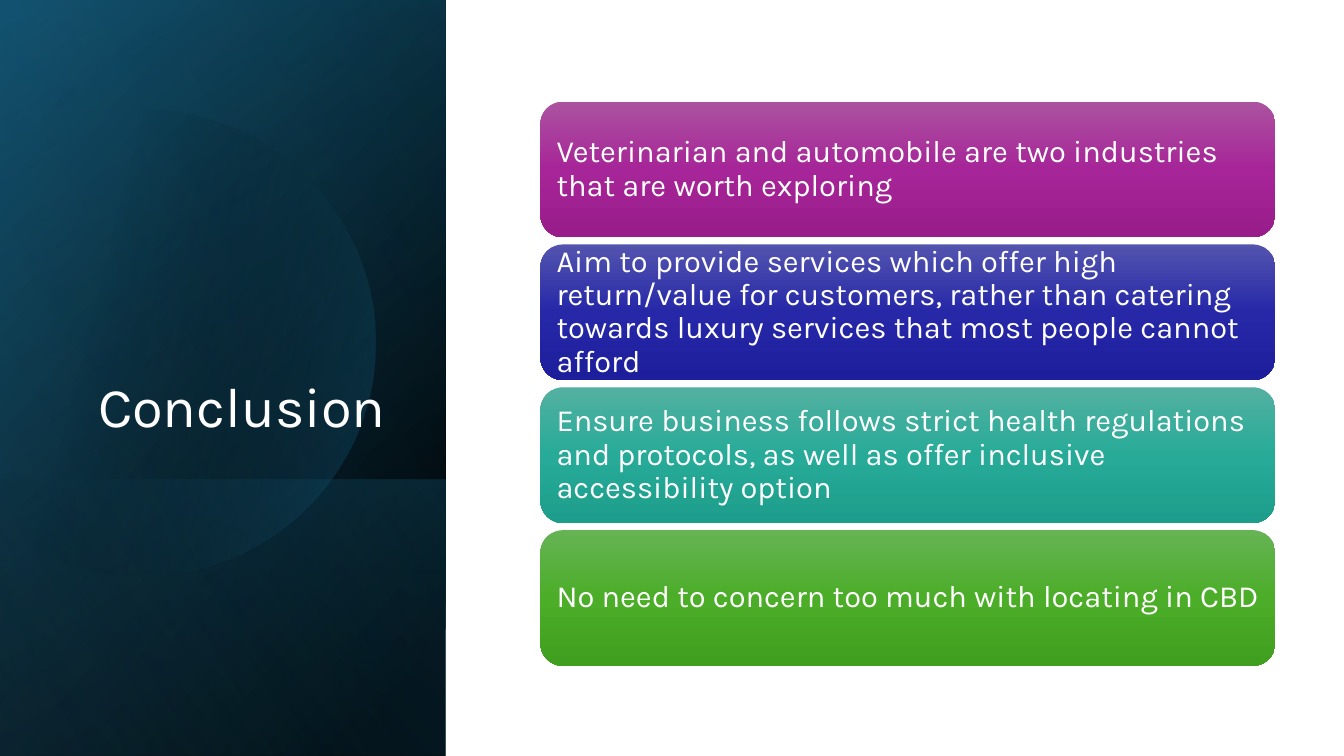
from dataclasses import dataclass
from math import acos, cos, degrees, radians, sin

from lxml.etree import SubElement
from pptx import Presentation
from pptx.dml.color import RGBColor
from pptx.enum.shapes import MSO_SHAPE as SHAPE
from pptx.enum.text import MSO_ANCHOR as ANCHOR, PP_ALIGN as ALIGN
from pptx.oxml.ns import qn
from pptx.util import Cm, Pt


@dataclass(frozen=True)
class Theme:
    """Colours and type sizes of the slide."""
    font: str = "Karla"
    title: int = 40
    body: int = 22
    white: str = "FFFFFF"
    black: str = "000000"
    teal: str = "156082"
    deep: str = "104862"
    sky: str = "46B1E1"
    cards: tuple = (
        ("AC53A0", "A62598", "991C8B"),
        ("5354AE", "2628A8", "1D1E9B"),
        ("53B0A1", "27AB98", "1D9D8B"),
        ("66B354", "4BAD28", "409F1E"),
    )


def write(s, text, *, font, size, color, align=ALIGN.LEFT, anchor=ANCHOR.MIDDLE, inset=0.24):
    """Put one formatted paragraph into a shape."""
    tf = s.text_frame
    tf.word_wrap = True
    tf.vertical_anchor = anchor
    tf.margin_left = tf.margin_right = tf.margin_top = tf.margin_bottom = Cm(inset)
    p = tf.paragraphs[0]
    p.alignment = align
    p.line_spacing = 0.9
    r = p.add_run()
    r.text = text
    r.font.name = font
    r.font.size = Pt(size)
    r.font.color.rgb = RGBColor.from_string(color)


class Deck:
    """Holds the theme and the current slide."""

    def __init__(self, slide, theme):
        """Keep the slide and its theme."""
        self.shapes = slide.shapes
        self.theme = theme

    def paint(self, s, stops, angle):
        """Fill a shape with (position, colour, opacity) stops and drop its line."""
        s.shadow.inherit = False
        s.line.fill.background()
        s.fill.gradient()
        grad = s.element.spPr.find(qn("a:gradFill"))
        gs_list = grad.find(qn("a:gsLst"))
        for gs in list(gs_list):
            gs_list.remove(gs)
        for pos, color, opacity in stops:
            gs = SubElement(gs_list, qn("a:gs"), pos=str(pos * 1000))
            clr = SubElement(gs, qn("a:srgbClr"), val=color)
            if opacity < 100:
                SubElement(clr, qn("a:alpha"), val=str(opacity * 1000))
        grad.find(qn("a:lin")).set("ang", str(angle * 60000))

    def panel(self, x, y, w, h, stops, angle):
        """Add a mirrored quarter-turned rectangle that covers the given area."""
        s = self.shapes.add_shape(SHAPE.RECTANGLE, Cm(x + (w - h) / 2), Cm(y + (h - w) / 2), Cm(h), Cm(w))
        s.rotation = 90
        s.element.spPr.xfrm.set("flipH", "1")
        self.paint(s, stops, angle)

    def disc(self, cx, cy, radius, stops, angle):
        """Add a circle cut off at the left edge of the slide."""
        end = degrees(acos(-cx / radius))
        steps = 120
        turns = [radians(end * (2 * i / steps - 1)) for i in range(steps + 1)]
        pts = [(Cm(max(0, cx + radius * cos(t))), Cm(cy + radius * sin(t))) for t in turns]
        fb = self.shapes.build_freeform(*pts[0])
        fb.add_line_segments(pts[1:], close=True)
        self.paint(fb.convert_to_shape(), stops, angle)

    def title(self, text, x, y, w, h):
        """Add the slide title, set right and at the bottom of its box."""
        s = self.shapes.add_textbox(Cm(x), Cm(y), Cm(w), Cm(h))
        t = self.theme
        write(s, text, font=t.font, size=t.title, color=t.white,
              align=ALIGN.RIGHT, anchor=ANCHOR.BOTTOM)

    def card(self, text, x, y, w, h, colors):
        """Add a rounded card with its text."""
        s = self.shapes.add_shape(SHAPE.ROUNDED_RECTANGLE, Cm(x), Cm(y), Cm(w), Cm(h))
        t = self.theme
        self.paint(s, [(50 * i, c, 100) for i, c in enumerate(colors)], 90)
        write(s, text, font=t.font, size=t.body, color=t.white)


POINTS = (
    "Veterinarian and automobile are two industries that are worth exploring",
    "Aim to provide services which offer high return/value for customers, "
    "rather than catering towards luxury services that most people cannot afford",
    "Ensure business follows strict health regulations and protocols, "
    "as well as offer inclusive accessibility option",
    "No need to concern too much with locating in CBD",
)


def main():
    """Build and save the slide."""
    prs = Presentation()
    prs.slide_width, prs.slide_height = Cm(33.87), Cm(19.05)
    t = Theme()
    deck = Deck(prs.slides.add_slide(prs.slide_layouts[6]), t)

    side_w, side_h, foot_h = 11.23, 19.05, 6.96
    side = (0, 0, side_w, side_h)
    deck.panel(*side, [(8, t.black, 100), (100, t.deep, 100)], 50)
    deck.panel(*side, [(0, t.black, 0), (99, t.teal, 46)], 30)
    deck.panel(0, side_h - foot_h, side_w, foot_h, [(2, t.teal, 29), (100, t.black, 30)], 130)
    deck.disc(3.6, 8.64, 5.87, [(29, t.black, 0), (100, t.teal, 43)], 14)
    deck.panel(*side, [(0, t.black, 0), (99, t.sky, 11)], 120)
    deck.title("Conclusion ", 1.63, 4.67, 8.66, 6.65)

    top, pitch = 2.56, 3.6
    for i, (text, colors) in enumerate(zip(POINTS, t.cards)):
        deck.card(text, 13.62, top + i * pitch, 18.52, 3.42, colors)
    prs.save("out.pptx")


if __name__ == "__main__":
    main()
